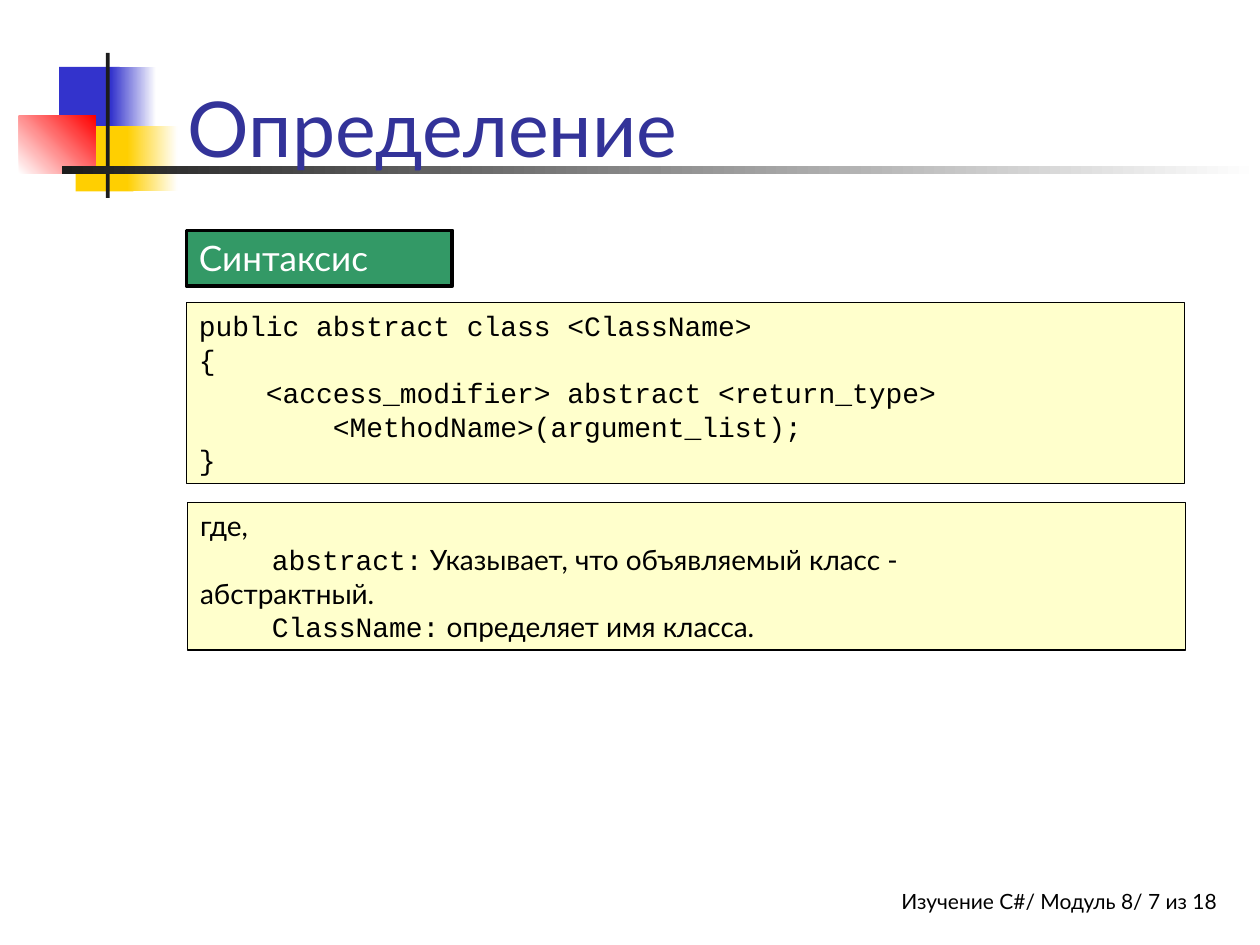
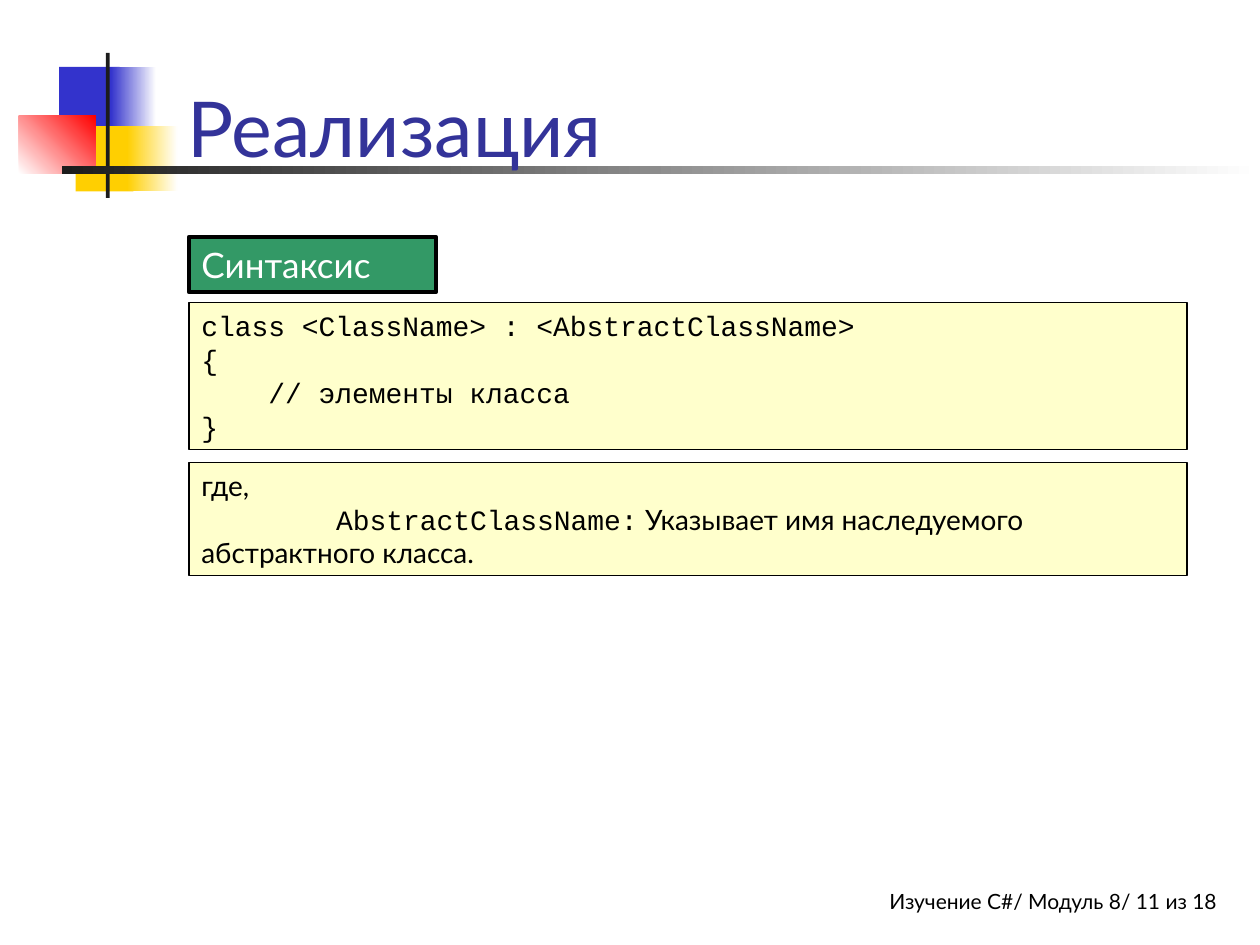
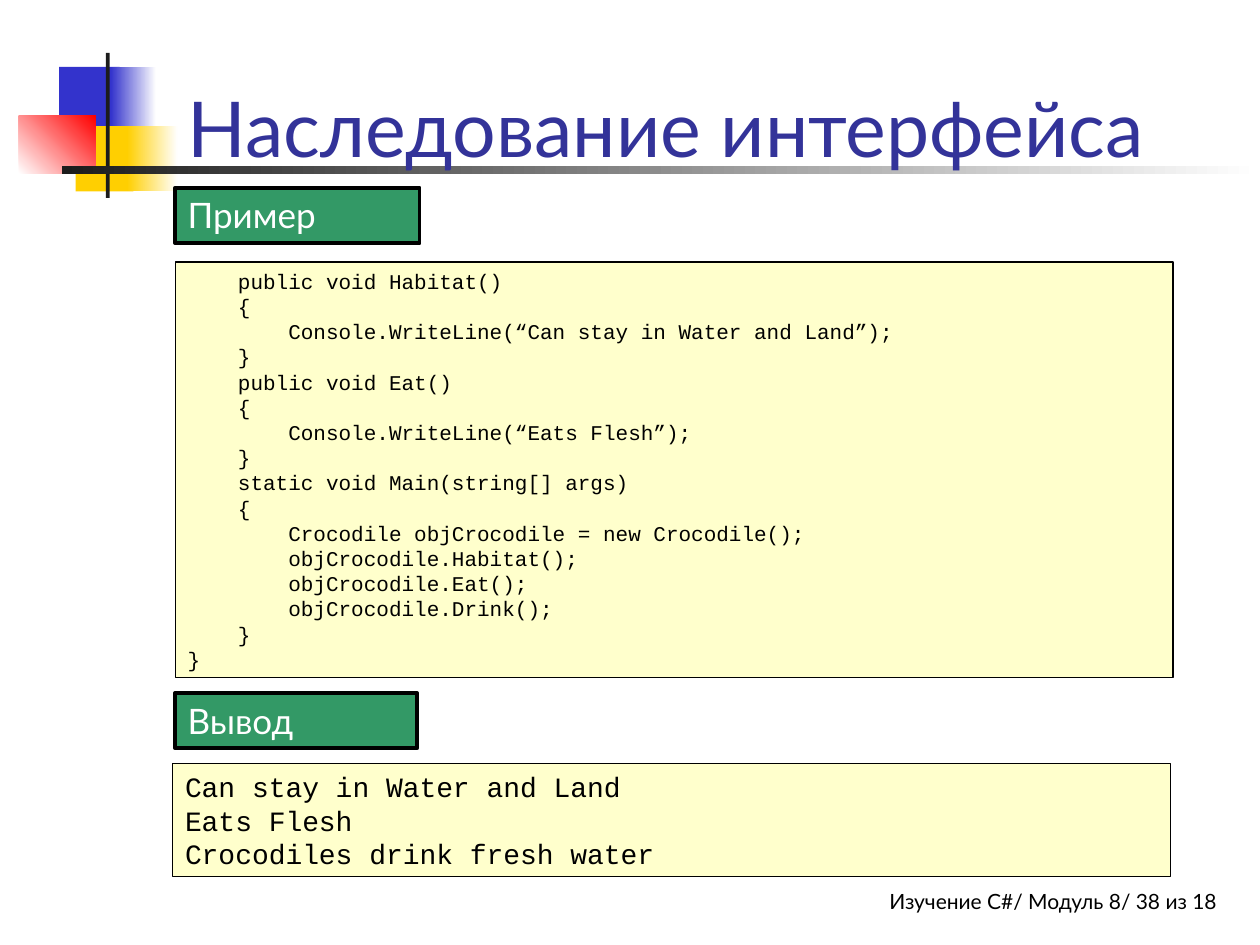
from copy import deepcopy

from pptx import Presentation
from pptx.dml.color import RGBColor
from pptx.enum.shapes import MSO_SHAPE
from pptx.enum.text import MSO_ANCHOR, MSO_AUTO_SIZE, PP_ALIGN
from pptx.util import Inches, Pt

RECT = MSO_SHAPE.RECTANGLE
LEFT, RIGHT = PP_ALIGN.LEFT, PP_ALIGN.RIGHT
TOP, BOTTOM = MSO_ANCHOR.TOP, MSO_ANCHOR.BOTTOM
GROW, FIXED = MSO_AUTO_SIZE.SHAPE_TO_FIT_TEXT, MSO_AUTO_SIZE.NONE

SANS, MONO = "Lato", "Courier New"
BLACK, WHITE, INK = "000000", "FFFFFF", "1C1C1C"
BLUE, YELLOW, RED = "3333CC", "FFCF01", "FF0000"
TITLE, GREEN, CREAM = "333399", "339966", "FFFFCC"
COLUMNS, ROWS = 100, 75
BOX_WIDTH, LABEL_HEIGHT = 79.2, 4.4

EMBLEM = [
    ((4.7, 5.3, 4.8, 5.2), (BLUE,), 0),
    ((8.8, 5.3, 3.6, 5.2), (BLUE, WHITE), 0),
    ((6, 10, 4.6, 5.2), (YELLOW,), 0),
    ((10.1, 10, 4, 5.2), (YELLOW, WHITE), 0),
    ((1.5, 9.2, 6.1, 4.6), (WHITE, RED), 45),
    ((8.4, 4.2, 0.3, 11.5), (INK,), 0),
    ((4.9, 13.2, 95.1, 0.6), (INK, WHITE), 0),
]

ABSTRACT_CLASS = """public abstract class <ClassName>
{
    <access_modifier> abstract <return_type>\v        <MethodName>(argument_list);
}"""

DERIVED_CLASS = """class <ClassName> : <AbstractClassName>
{
    // элементы класса
}"""

CROCODILE = """    public void Habitat()
    {
        Console.WriteLine(“Can stay in Water and Land”);
    }
    public void Eat()
    {
        Console.WriteLine(“Eats Flesh”);
    }
    static void Main(string[] args)
    {
        Crocodile objCrocodile = new Crocodile();
        objCrocodile.Habitat();
        objCrocodile.Eat();
        objCrocodile.Drink();
    }
}"""

OUTPUT = """Can stay in Water and Land
Eats Flesh
Crocodiles drink fresh water"""


def rgb(value):
    return RGBColor.from_string(value)


def add_runs(p, text, font, size, color):
    for i, line in enumerate(text.split("\v")):
        if i:
            p.add_line_break()
            p._p[-1].append(deepcopy(r._r.get_or_add_rPr()))
        r = p.add_run()
        r.text = line
        r.font.name, r.font.size = font, Pt(size)
        r.font.color.rgb = rgb(color)


def write(tf, lines, font=SANS, size=16, color=BLACK, align=LEFT,
          anchor=TOP, fit=GROW, indent=0):
    tf.word_wrap, tf.auto_size, tf.vertical_anchor = True, fit, anchor
    for i, line in enumerate(lines):
        p = tf.add_paragraph() if i else tf.paragraphs[0]
        p.alignment = align
        if isinstance(line, str):
            line = [(line, font)]
        else:
            p._p.get_or_add_pPr().set("indent", str(Inches(indent)))
        for text, run_font in line:
            add_runs(p, text, run_font, size, color)


class Deck:
    def __init__(self):
        self.prs = Presentation()
        self.prs.slide_width, self.prs.slide_height = Inches(10), Inches(7.5)
        self.s = None

    def place(self, x, y, w, h):
        col, row = self.prs.slide_width / COLUMNS, self.prs.slide_height / ROWS
        return round(x * col), round(y * row), round(w * col), round(h * row)

    def slide(self, title, number):
        self.s = self.prs.slides.add_slide(self.prs.slide_layouts[5])
        self.footer(number)
        self.emblem()
        self.title(title)

    def footer(self, number):
        tf = self.s.shapes.add_textbox(*self.place(45.8, 70, 50.8, 3.3)).text_frame
        tf.margin_right = 0
        write(tf, [f"Изучение C#/ Модуль 8/ {number} из 18"], size=12, align=RIGHT)

    def emblem(self):
        group = self.s.shapes.add_group_shape()
        for area, colors, angle in EMBLEM:
            self.rect(area, colors, angle, shapes=group.shapes)

    def title(self, text):
        sp = self.s.shapes.title
        self.s.shapes._spTree.append(sp._element)
        sp.left, sp.top, sp.width, sp.height = self.place(13.9, 1.7, 85.2, 12.5)
        write(sp.text_frame, [text], size=44, color=TITLE, anchor=BOTTOM, fit=FIXED)

    def rect(self, area, colors, angle=0, border=0, shapes=None):
        shapes = self.s.shapes if shapes is None else shapes
        sp = shapes.add_shape(RECT, *self.place(*area))
        sp.shadow.inherit = False
        if len(colors) == 1:
            sp.fill.solid()
            sp.fill.fore_color.rgb = rgb(colors[0])
        else:
            sp.fill.gradient()
            sp.fill.gradient_angle = angle
            for stop, color in zip(sp.fill.gradient_stops, colors):
                stop.color.rgb = rgb(color)
        if border:
            sp.line.color.rgb = rgb(BLACK)
            sp.line.width = Pt(border)
        else:
            sp.line.fill.background()
        return sp

    def label(self, text, x, y, w):
        sp = self.rect((x, y, w, LABEL_HEIGHT), (GREEN,), border=2.25)
        write(sp.text_frame, [text], size=20, color=WHITE)

    def box(self, lines, x, y, h, **fmt):
        sp = self.rect((x, y, BOX_WIDTH, h), (CREAM,), border=0.75)
        write(sp.text_frame, lines, **fmt)

    def code(self, text, x, y, h, size=16):
        self.box(text.split("\n"), x, y, h, font=MONO, size=size)

    def terms(self, terms, x, y, h, indent):
        lines = [[(f"{term}:", MONO), (f" {meaning}", SANS)] for term, meaning in terms]
        self.box(["где,", *lines], x, y, h, indent=indent)


def main():
    deck = Deck()

    deck.slide("Определение", 7)
    deck.code(ABSTRACT_CLASS, 14.8, 24, 14.4)
    deck.terms([
        ("abstract", "Указывает, что объявляемый класс -\vабстрактный."),
        ("ClassName", "определяет имя класса."),
    ], 14.9, 39.9, 11.7, indent=0.57)
    deck.label("Синтаксис", 14.8, 18.3, 21.1)

    deck.slide("Реализация", 11)
    deck.label("Синтаксис", 15, 18.8, 19.6)
    deck.code(DERIVED_CLASS, 15, 24, 11.7)
    deck.terms([
        ("AbstractClassName", "Указывает имя наследуемого\vабстрактного класса."),
    ], 15, 36.7, 9, indent=1.07)

    deck.slide("Наследование интерфейса", 38)
    deck.code(OUTPUT, 13.7, 60.6, 9)
    deck.code(CROCODILE, 13.9, 20.8, 33, size=12)
    deck.label("Пример", 13.9, 14.9, 19.4)
    deck.label("Вывод", 13.9, 55, 19.2)

    deck.prs.save("out.pptx")


if __name__ == "__main__":
    main()
